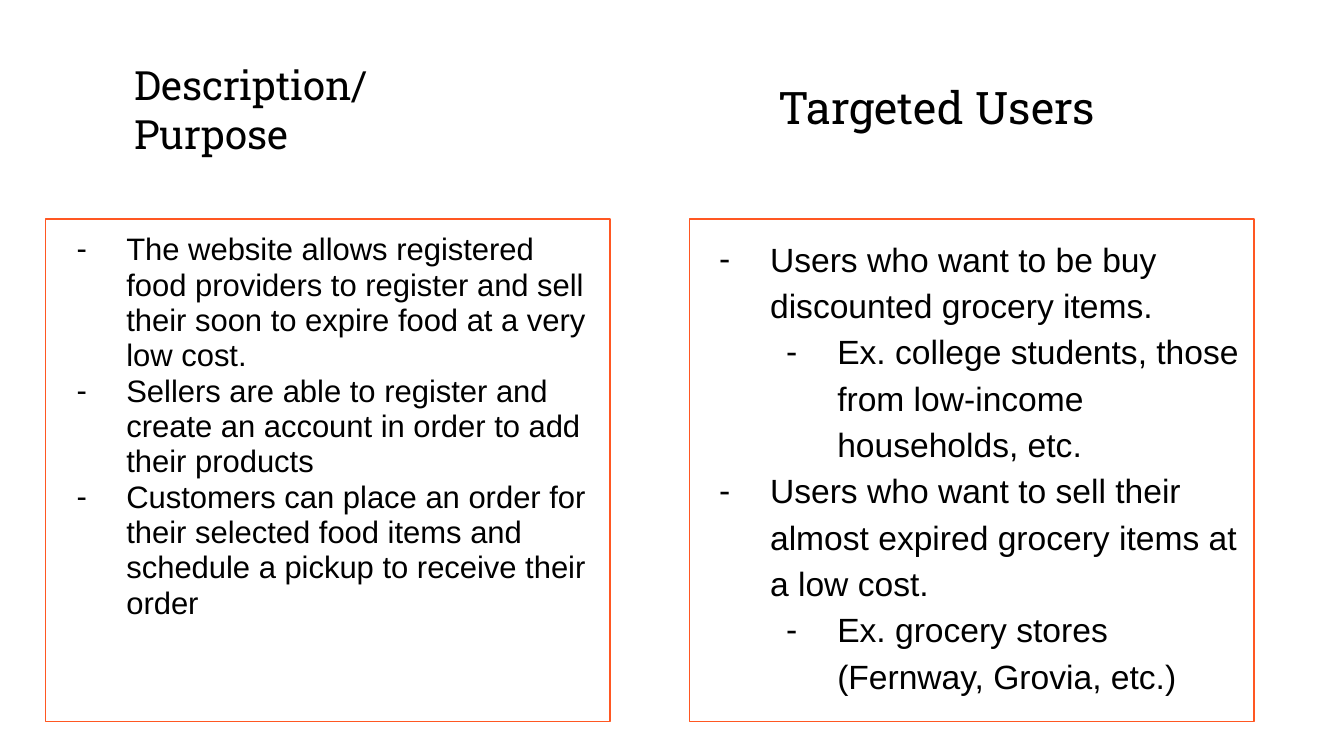
from lxml.etree import SubElement
from pptx import Presentation
from pptx.dml.color import RGBColor
from pptx.enum.text import MSO_ANCHOR, MSO_AUTO_SIZE, PP_ALIGN
from pptx.oxml.ns import qn
from pptx.util import Inches, Pt

BLACK = RGBColor(0x00, 0x00, 0x00)
ORANGE = RGBColor(0xFF, 0x57, 0x22)
SLIDE_WIDTH = 10
SLIDE_HEIGHT = SLIDE_WIDTH * 9 / 16
COLUMN_WIDTH, COLUMN_HEIGHT = 4.2, 3.74
COLUMN_TOP = 1.63
LEFT_COLUMN, RIGHT_COLUMN = 0.34, 5.13
HEADING_WIDTH, HEADING_HEIGHT = 3.07, 0.83
HEADING_INSET = 0.56

PURPOSES = [
    (0, "The website allows registered food providers to register and sell "
        "their soon to expire food at a very low cost."),
    (0, "Sellers are able to register and create an account in order to add "
        "their products"),
    (0, "Customers can place an order for their selected food items and "
        "schedule a pickup to receive their order"),
]
USERS = [
    (0, "Users who want to be buy discounted grocery items."),
    (1, "Ex. college students, those from low-income households, etc."),
    (0, "Users who want to sell their almost expired grocery items at a low cost."),
    (1, "Ex. grocery stores (Fernway, Grovia, etc.)"),
]


def write(paragraph, text, *, font, size, spacing, level=0):
    paragraph.text = text
    paragraph.level = level
    paragraph.alignment = PP_ALIGN.LEFT
    paragraph.line_spacing = spacing
    paragraph.space_before = paragraph.space_after = Pt(0)
    for run in paragraph.runs:
        run.font.name = font
        run.font.size = Pt(size)
        run.font.bold = False
        run.font.color.rgb = BLACK


def add_dash(paragraph, hanging):
    properties = paragraph._p.get_or_add_pPr()
    properties.set("marL", str(Inches(0.5 * (paragraph.level + 1))))
    properties.set("indent", str(-Inches(hanging)))
    colour = SubElement(properties, qn("a:buClr"))
    SubElement(colour, qn("a:srgbClr"), val=str(BLACK))
    SubElement(properties, qn("a:buFont"), typeface="Arial")
    SubElement(properties, qn("a:buChar"), char="-")


def place(holder, box, anchor):
    holder.left, holder.top, holder.width, holder.height = map(Inches, box)
    frame = holder.text_frame
    frame.word_wrap = True
    frame.auto_size = MSO_AUTO_SIZE.NONE
    frame.vertical_anchor = anchor
    frame.margin_left = frame.margin_right = Inches(0.1)
    frame.margin_top = frame.margin_bottom = Inches(0.1)
    return frame


def fill_heading(holder, box, text, size):
    frame = place(holder, box, MSO_ANCHOR.BOTTOM)
    write(frame.paragraphs[0], text, font="Roboto Slab", size=size, spacing=1.0)


def fill_list(holder, box, items, size, spacing, hanging):
    frame = place(holder, box, MSO_ANCHOR.TOP)
    holder.line.color.rgb = ORANGE
    holder.line.width = Pt(0.75)
    for index, (level, text) in enumerate(items):
        paragraph = frame.add_paragraph() if index else frame.paragraphs[0]
        write(paragraph, text, font="Arial", size=size, spacing=spacing, level=level)
        add_dash(paragraph, hanging)


def main():
    deck = Presentation()
    deck.slide_width = Inches(SLIDE_WIDTH)
    deck.slide_height = Inches(SLIDE_HEIGHT)
    slide = deck.slides.add_slide(deck.slide_layouts.get_by_name("Comparison"))
    holders = {holder.placeholder_format.idx: holder for holder in slide.placeholders}
    purpose_heading, users_heading = holders[0], holders[3]
    purpose_list, users_list = holders[2], holders[4]
    unused = holders[1]._element
    unused.getparent().remove(unused)

    heading_size = (HEADING_WIDTH, HEADING_HEIGHT)
    column_size = (COLUMN_WIDTH, COLUMN_HEIGHT)
    fill_heading(purpose_heading, (LEFT_COLUMN + HEADING_INSET, 0.44, *heading_size),
                 "Description/\nPurpose", 21.6)
    fill_list(purpose_list, (LEFT_COLUMN, COLUMN_TOP, *column_size),
              PURPOSES, 16.6, 0.95, 0.37)
    fill_heading(users_heading, (RIGHT_COLUMN + HEADING_INSET, 0.26, *heading_size),
                 "Targeted Users", 24)
    fill_list(users_list, (RIGHT_COLUMN, COLUMN_TOP, *column_size),
              USERS, 18, 1.15, 0.38)
    deck.save("out.pptx")


if __name__ == "__main__":
    main()
